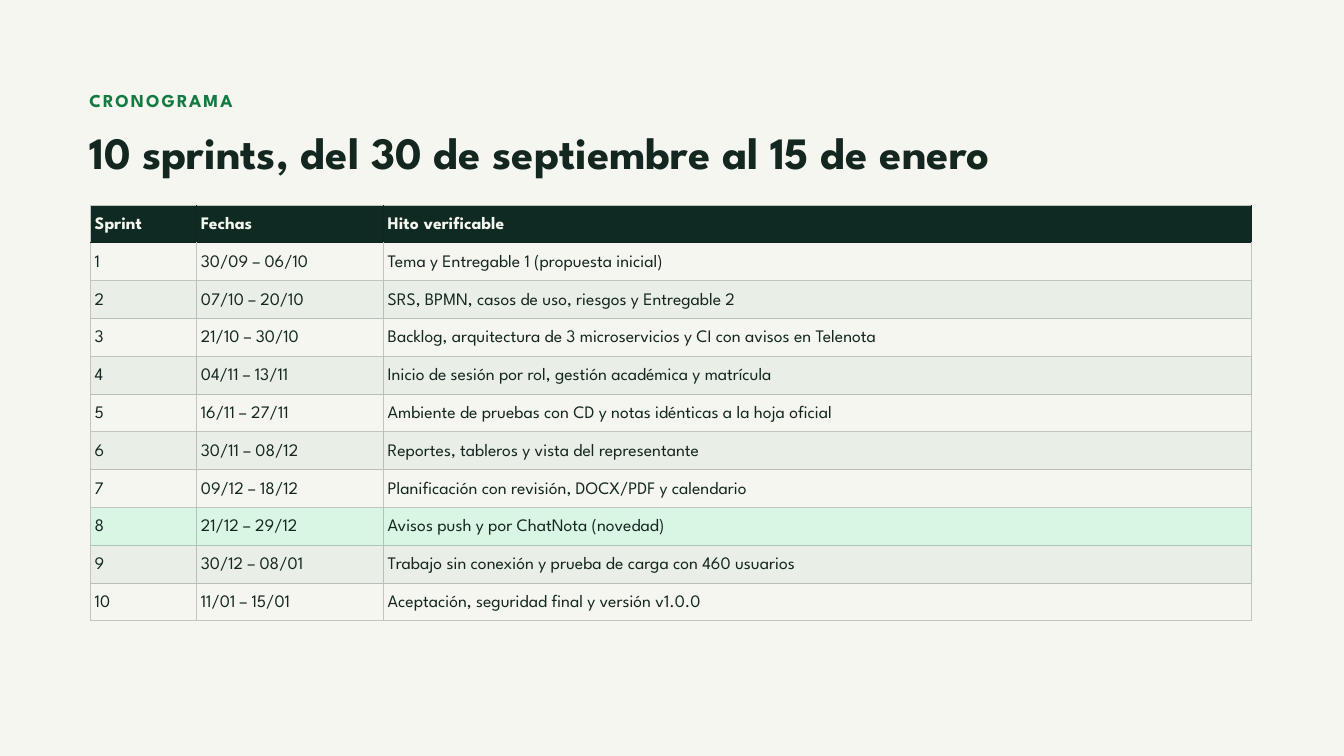
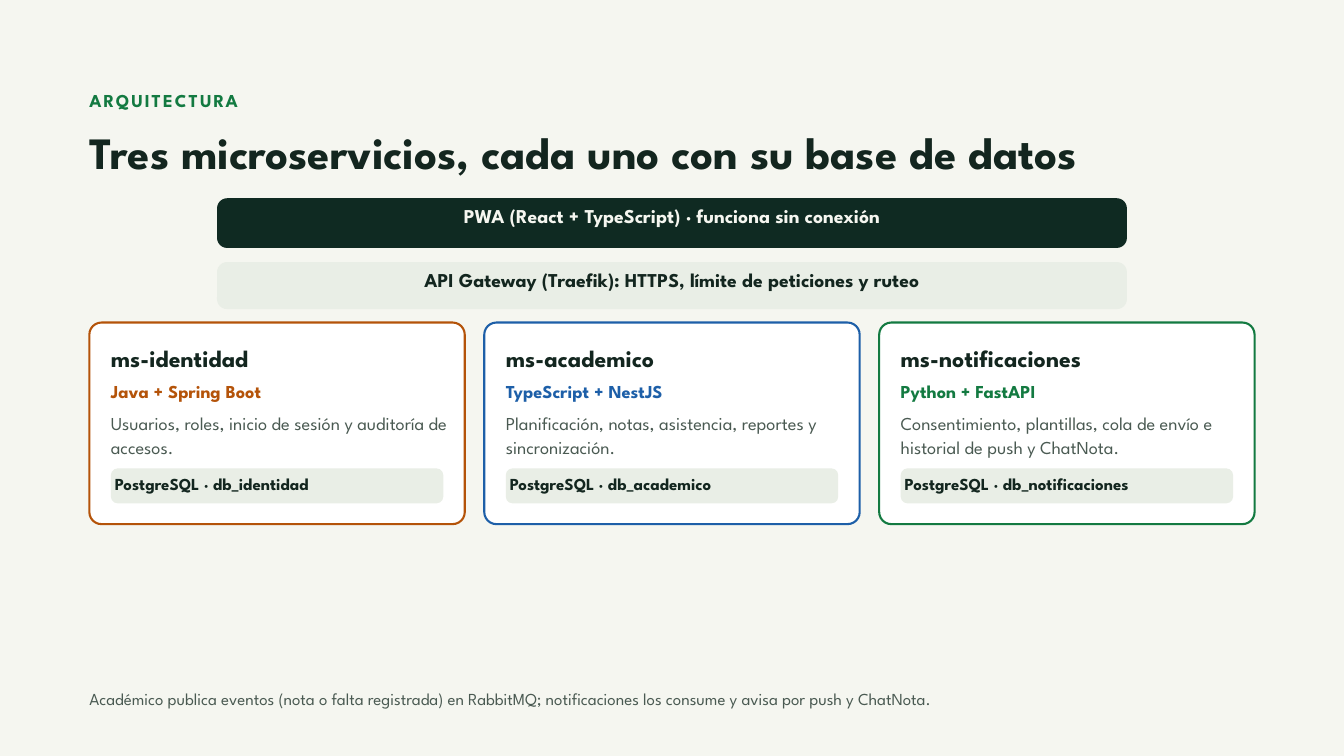
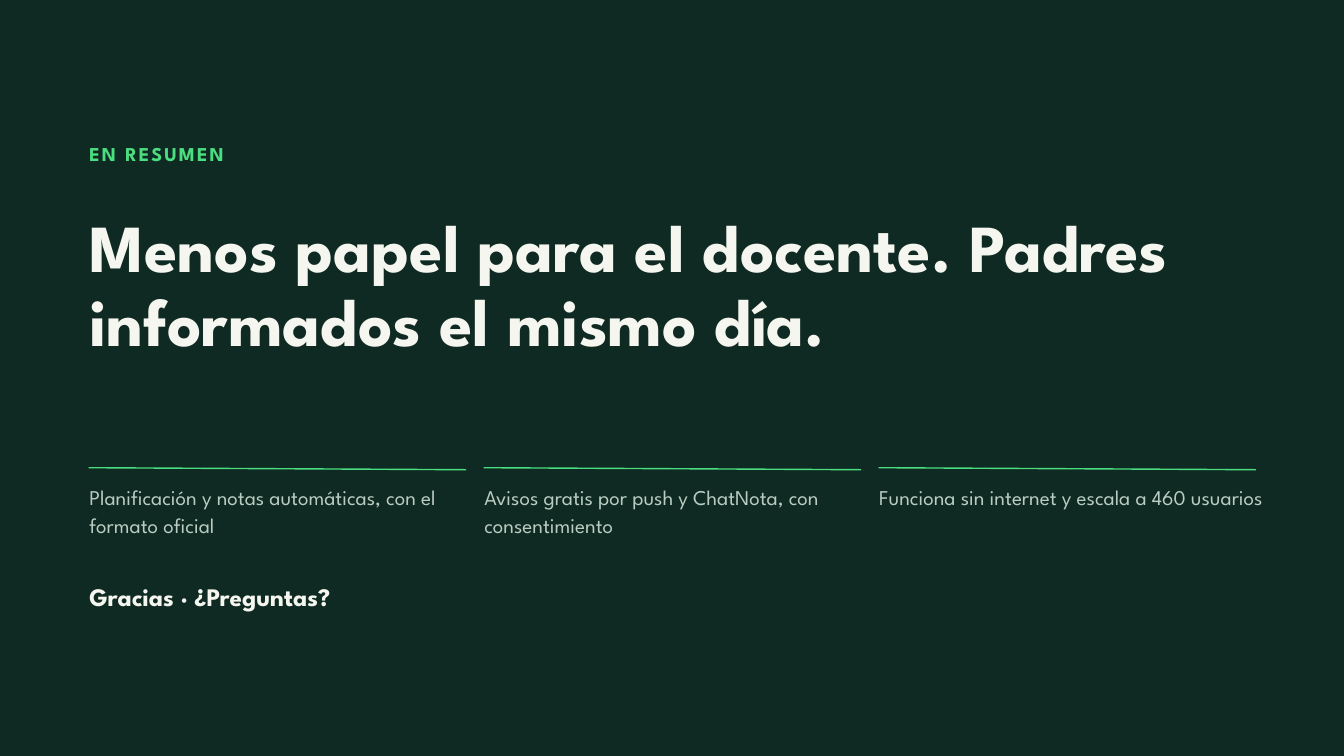
from lxml.etree import SubElement
from pptx import Presentation
from pptx.dml.color import RGBColor
from pptx.enum.shapes import MSO_CONNECTOR, MSO_SHAPE
from pptx.enum.text import MSO_ANCHOR, MSO_AUTO_SIZE, PP_ALIGN
from pptx.oxml.ns import qn
from pptx.util import Inches, Pt

PAPER = RGBColor(0xF5, 0xF6, 0xF0)
DARK = RGBColor(0x0F, 0x2A, 0x22)
INK = RGBColor(0x13, 0x26, 0x1F)
GREY = RGBColor(0x4A, 0x5A, 0x52)
GREEN = RGBColor(0x13, 0x7A, 0x41)
LIME = RGBColor(0x4A, 0xDE, 0x80)
RUST = RGBColor(0xB4, 0x53, 0x09)
BLUE = RGBColor(0x1D, 0x5F, 0xA8)
SAGE = RGBColor(0xE9, 0xEE, 0xE6)
MINT = RGBColor(0xD9, 0xF5, 0xE3)
MIST = RGBColor(0xB9, 0xCC, 0xC2)
WHITE = RGBColor(0xFF, 0xFF, 0xFF)
EDGE = RGBColor(0xC4, 0xC4, 0xBF)
HEAD_EDGE = RGBColor(0x10, 0x25, 0x1F)
BAND_EDGE = RGBColor(0xBA, 0xBE, 0xB8)
MINT_EDGE = RGBColor(0xAE, 0xC4, 0xB5)

FONT = "League Spartan"
LEFT, FULL, GAP = 1.33, 17.85, 0.29
WIDE = (17.34 - 2 * GAP) / 3

# size, line spacing (points), colour, bold, letter spacing (points)
KICKER = (19.5, 27.3, GREEN, True, 2.2)
TITLE = (48, 52.8, INK, True, 0)
HEAD = (18.8, 26.2, PAPER, True, 0)
CELL = (18.8, 26.2, INK, False, 0)
NAME = (25.5, 30.6, INK, True, 0)
BODY = (19.5, 26.3, GREY, False, 0)
CHIP = (18, 25.2, INK, True, 0)
NOTE = (18, 25.2, GREY, False, 0)
CLOSE_KICKER = (21, 29.4, LIME, True, 2.2)
CLOSE_TITLE = (72, 79.2, PAPER, True, 0)
POINT = (22.5, 30.4, MIST, False, 0)
THANKS = (27, 37.8, PAPER, True, 0)

SPRINTS = [
    ("Sprint", "Fechas", "Hito verificable"),
    ("1", "30/09 – 06/10", "Tema y Entregable 1 (propuesta inicial)"),
    ("2", "07/10 – 20/10", "SRS, BPMN, casos de uso, riesgos y Entregable 2"),
    ("3", "21/10 – 30/10", "Backlog, arquitectura de 3 microservicios y CI con avisos en Telenota"),
    ("4", "04/11 – 13/11", "Inicio de sesión por rol, gestión académica y matrícula"),
    ("5", "16/11 – 27/11", "Ambiente de pruebas con CD y notas idénticas a la hoja oficial"),
    ("6", "30/11 – 08/12", "Reportes, tableros y vista del representante"),
    ("7", "09/12 – 18/12", "Planificación con revisión, DOCX/PDF y calendario"),
    ("8", "21/12 – 29/12", "Avisos push y por ChatNota (novedad)"),
    ("9", "30/12 – 08/01", "Trabajo sin conexión y prueba de carga con 460 usuarios"),
    ("10", "11/01 – 15/01", "Aceptación, seguridad final y versión v1.0.0"),
]
FRESH = 8

SERVICES = [
    ("ms-identidad", "Java + Spring Boot", RUST, "db_identidad",
     "Usuarios, roles, inicio de sesión y auditoría de accesos."),
    ("ms-academico", "TypeScript + NestJS", BLUE, "db_academico",
     "Planificación, notas, asistencia, reportes y sincronización."),
    ("ms-notificaciones", "Python + FastAPI", GREEN, "db_notificaciones",
     "Consentimiento, plantillas, cola de envío e historial de push y ChatNota."),
]

POINTS = [
    "Planificación y notas automáticas, con el formato oficial",
    "Avisos gratis por push y ChatNota, con consentimiento",
    "Funciona sin internet y escala a 460 usuarios",
]


def set_all(target, values):
    for key, value in values.items():
        setattr(target, key, value)


def box(x, y, w, h):
    return [Inches(v) for v in (x, y, w, h)]


def margins(x, y):
    return {"margin_left": Inches(x), "margin_right": Inches(x),
            "margin_top": Inches(y), "margin_bottom": Inches(y)}


def write(frame, text, style, align=PP_ALIGN.LEFT):
    size, lead, color, bold, track = style
    para = frame.paragraphs[0]
    set_all(para, {"alignment": align, "line_spacing": Pt(lead)})
    run = para.add_run()
    run.text = text
    set_all(run.font, {"name": FONT, "size": Pt(size), "bold": bold})
    run.font.color.rgb = color
    if track:
        run._r.get_or_add_rPr().set("spc", str(round(track * 100)))


def label(slide, x, y, w, h, text, style):
    frame = slide.shapes.add_textbox(*box(x, y, w, h)).text_frame
    set_all(frame, {"word_wrap": True, "auto_size": MSO_AUTO_SIZE.SHAPE_TO_FIT_TEXT,
                    **margins(0, 0)})
    write(frame, text, style)


def panel(slide, x, y, w, h, radius, fill, edge=None):
    shape = slide.shapes.add_shape(MSO_SHAPE.ROUNDED_RECTANGLE, *box(x, y, w, h))
    shape.adjustments[0] = radius / min(w, h)
    shape.shadow.inherit = False
    shape.fill.solid()
    shape.fill.fore_color.rgb = fill
    if edge:
        shape.line.color.rgb = edge
        shape.line.width = Pt(2.25)
    else:
        shape.line.fill.background()
    set_all(shape.text_frame, {"word_wrap": True, "vertical_anchor": MSO_ANCHOR.TOP,
                               **margins(0.03, 0)})
    return shape.text_frame


def new_slide(deck, color):
    slide = deck.slides.add_slide(deck.slide_layouts[6])
    slide.background.fill.solid()
    slide.background.fill.fore_color.rgb = color
    return slide


def heading(slide, kicker, title):
    label(slide, LEFT, 1.28, FULL, 0.47, kicker, KICKER)
    label(slide, LEFT, 1.92, FULL, 0.73, title, TITLE)


def rim(cell, sides):
    """Draw one-point cell borders; sides maps L, R, T, B to a colour."""
    props = cell._tc.get_or_add_tcPr()
    for place, (side, color) in enumerate(sides.items()):
        line = SubElement(props, qn(f"a:ln{side}"), w=str(Pt(1)))
        SubElement(SubElement(line, qn("a:solidFill")), qn("a:srgbClr"), val=str(color))
        props.insert(place, line)


def row_look(row):
    """Return the fill, border colour and text style of a table row."""
    if row == 0:
        return DARK, HEAD_EDGE, HEAD
    if row == FRESH:
        return MINT, MINT_EDGE, CELL
    if row in (2, 4, 6, 9):
        return SAGE, BAND_EDGE, CELL
    return None, EDGE, CELL


def schedule(slide, x, y, w, h):
    table = slide.shapes.add_table(len(SPRINTS), 3, *box(x, y, w, h)).table
    set_all(table, {"first_row": False, "horz_banding": False})
    for col, width in zip(table.columns, (1.58, 2.78, w - 4.36)):
        col.width = Inches(width)
    above = EDGE
    for r, texts in enumerate(SPRINTS):
        table.rows[r].height = Inches(h / len(SPRINTS))
        fill, edge, style = row_look(r)
        for c, text in enumerate(texts):
            cell = table.cell(r, c)
            set_all(cell, margins(0.06, 0.06))
            if fill:
                cell.fill.solid()
                cell.fill.fore_color.rgb = fill
            else:
                cell.fill.background()
            rim(cell, {"L": edge if c else EDGE, "R": edge, "T": above, "B": edge})
            write(cell.text_frame, text, style)
        above = edge


def service(slide, x, y, w, h, name, stack, color, base, duty):
    panel(slide, x, y, w, h, 0.18, WHITE, color)
    left, wide = x + 0.32, w - 0.48
    label(slide, left, y + 0.32, wide, 0.47, name, NAME)
    label(slide, left, y + 0.8, wide, 0.47, stack, (19.5, 27.3, color, True, 0))
    label(slide, left, y + 1.29, wide, 0.81, duty, BODY)
    chip = panel(slide, left, y + 2.17, w - 0.64, 0.52, 0.1, SAGE)
    write(chip, f"PostgreSQL · {base}", CHIP)


def point(slide, x, y, w, text):
    rule = slide.shapes.add_connector(
        MSO_CONNECTOR.STRAIGHT, Inches(x - 0.01), Inches(y),
        Inches(x + w + 0.02), Inches(y + 0.03))
    rule.line.color.rgb = LIME
    rule.line.width = Pt(1.5)
    SubElement(rule._element.spPr, qn("a:effectLst"))
    label(slide, x, y + 0.2, w + 0.17, 0.93, text, POINT)


def timeline(deck):
    slide = new_slide(deck, PAPER)
    heading(slide, "CRONOGRAMA", "10 sprints, del 30 de septiembre al 15 de enero")
    schedule(slide, 1.35, 3.05, 17.27, 6.19)


def layers(deck):
    slide = new_slide(deck, PAPER)
    heading(slide, "ARQUITECTURA", "Tres microservicios, cada uno con su base de datos")
    for y, h, fill, color, text in (
            (2.95, 0.74, DARK, PAPER, "PWA (React + TypeScript) · funciona sin conexión"),
            (3.9, 0.7, SAGE, INK, "API Gateway (Traefik): HTTPS, límite de peticiones y ruteo")):
        bar = panel(slide, 3.23, y, 13.54, h, 0.15, fill)
        write(bar, text, (21, 28, color, True, 0), PP_ALIGN.CENTER)
    for i, parts in enumerate(SERVICES):
        service(slide, LEFT + i * (WIDE + GAP), 4.8, WIDE, 3, *parts)
    label(slide, LEFT, 10.2, FULL, 0.42,
          "Académico publica eventos (nota o falta registrada) en RabbitMQ; "
          "notificaciones los consume y avisa por push y ChatNota.", NOTE)


def closing(deck):
    slide = new_slide(deck, DARK)
    label(slide, LEFT, 2.05, FULL, 0.49, "EN RESUMEN", CLOSE_KICKER)
    label(slide, LEFT, 3.16, 16.09, 3.27,
          "Menos papel para el docente. Padres informados el mismo día.", CLOSE_TITLE)
    for i, text in enumerate(POINTS):
        point(slide, LEFT + i * (WIDE + GAP), 6.96, WIDE, text)
    label(slide, LEFT, 8.58, FULL, 0.62, "Gracias · ¿Preguntas?", THANKS)


def main():
    deck = Presentation()
    set_all(deck, {"slide_width": Inches(20), "slide_height": Inches(11.25)})
    for build in (timeline, layers, closing):
        build(deck)
    deck.save("out.pptx")


if __name__ == "__main__":
    main()
